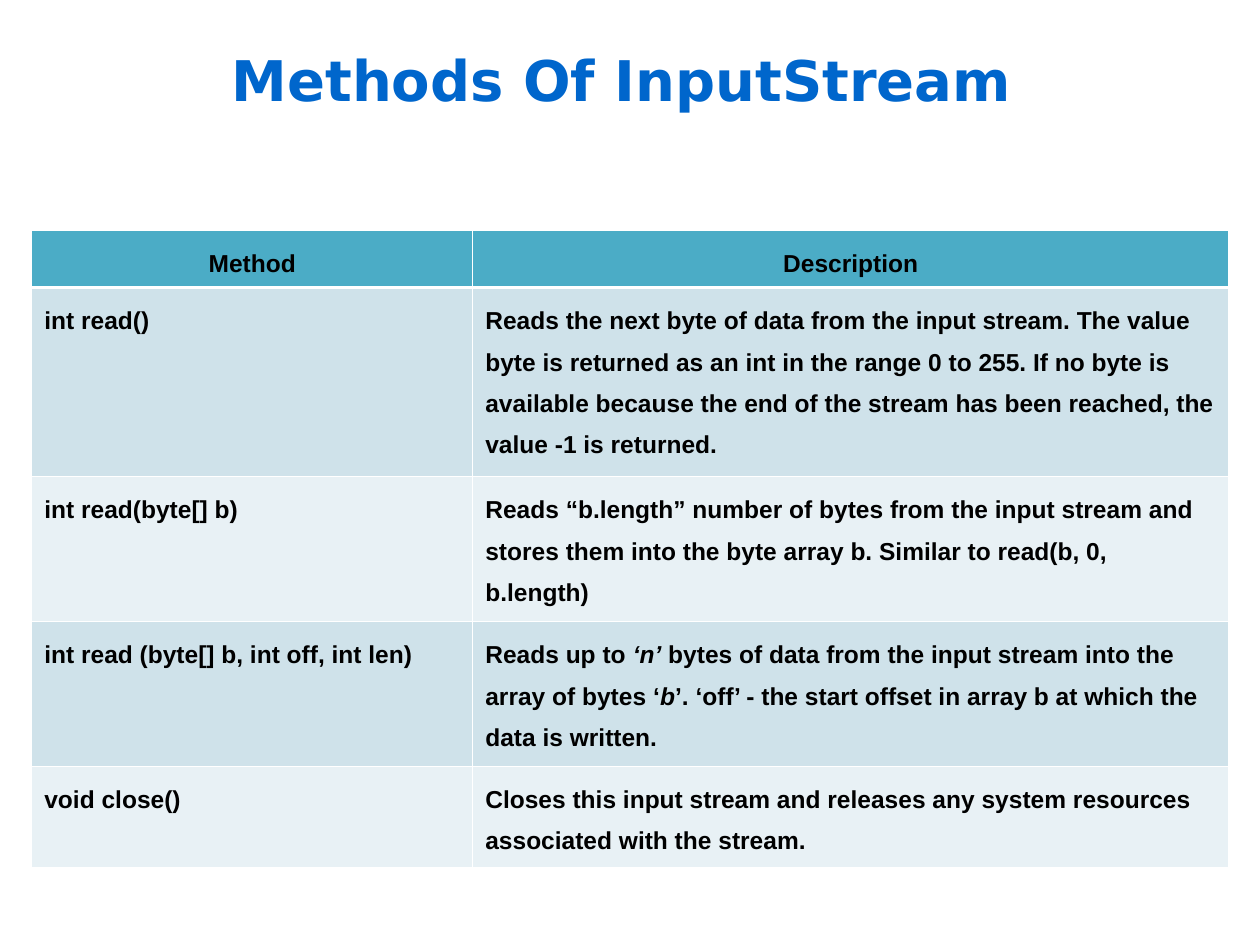
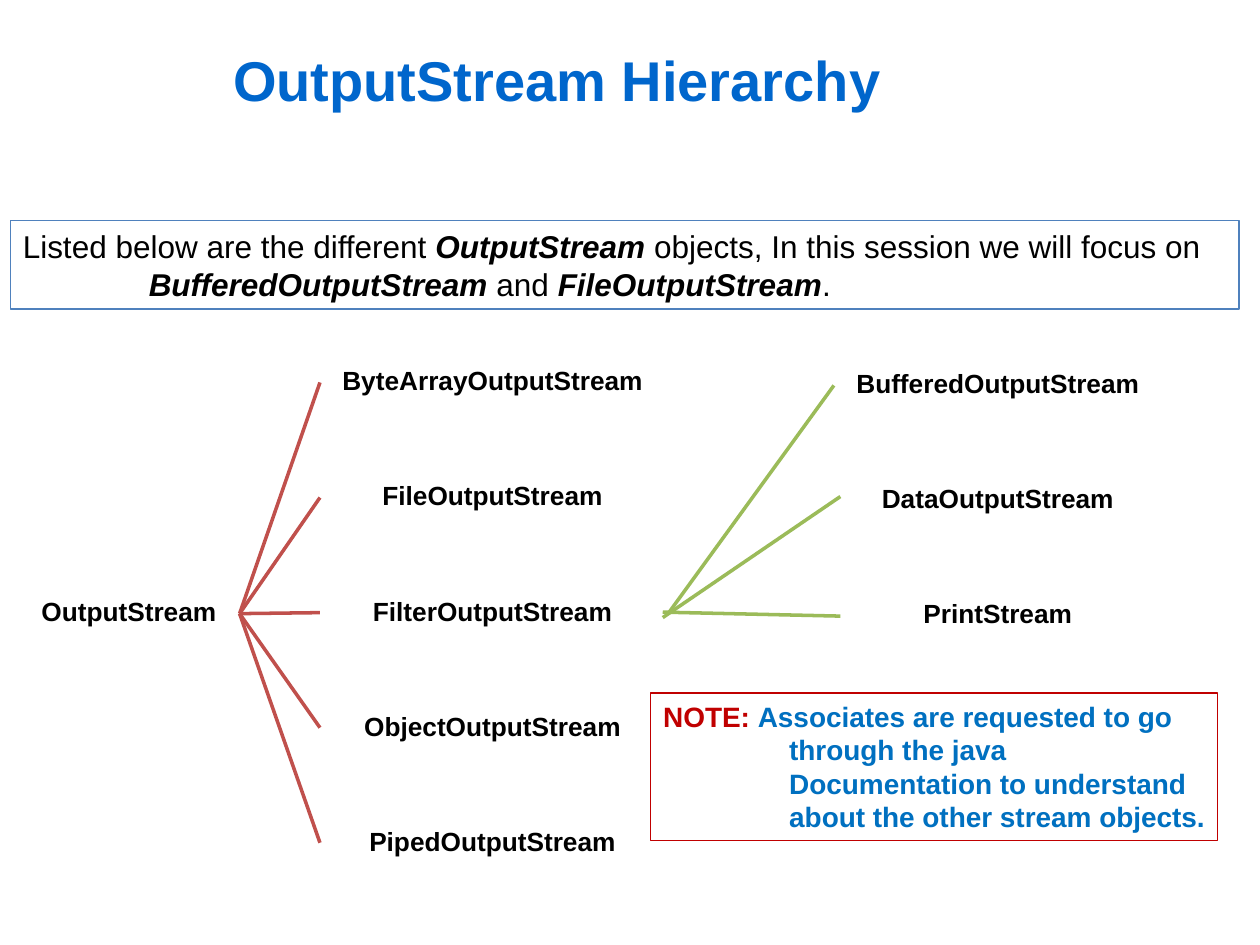
"""Builds two slides on Java byte streams: InputStream methods and the OutputStream hierarchy."""
from dataclasses import dataclass

from lxml import etree
from pptx import Presentation
from pptx import util as u
from pptx.dml.color import RGBColor
from pptx.enum import shapes, text
from pptx.oxml import ns


@dataclass(frozen=True)
class Theme:
    title: str = "0066CC"
    ink: str = "000000"
    white: str = "FFFFFF"
    header: str = "4BACC6"
    bands: tuple = ("CFE2EA", "E8F1F5")
    intro_line: str = "4F81BD"
    note_line: str = "C00000"
    note_text: str = "0070C0"
    first_branch: str = "C0504C"
    second_branch: str = "9BBB59"
    font: str = "Arial"
    title_font: str = "DejaVu Sans"
    title_size: int = 32
    intro_size: int = 18
    note_size: int = 16
    node_size: int = 15
    table_size: int = 14


class SlideBuilder:
    def __init__(self, deck, theme):
        self.deck, self.theme, self.page = deck, theme, None

    def new_page(self):
        self.page = self.deck.slides.add_slide(self.deck.slide_layouts[6])

    def fill_text(self, frame, spans, size, color=None, bold=False, font=None,
                  align=text.PP_ALIGN.LEFT, spacing=None, margin=0, indent=0):
        frame.word_wrap = True
        para = frame.paragraphs[0]
        para.alignment = align
        if spacing:
            para.line_spacing = spacing
        if margin:
            properties = para._p.get_or_add_pPr()
            properties.set("marL", str(u.Cm(margin)))
            properties.set("indent", str(u.Cm(indent)))
        para.font.name = font or self.theme.font
        para.font.size = u.Pt(size)
        para.font.bold = bold
        para.font.color.rgb = RGBColor.from_string(color or self.theme.ink)
        for wording, style in [(spans, {})] if isinstance(spans, str) else spans:
            span = para.add_run()
            span.text = wording
            if "color" in style:
                span.font.color.rgb = RGBColor.from_string(style["color"])
            if "bold" in style:
                span.font.bold = style["bold"]
            if "italic" in style:
                span.font.italic = style["italic"]

    def title(self, wording, left, font, margin=0):
        box = self.page.shapes.add_textbox(u.Cm(left), 0, u.Cm(20.96), u.Cm(3.18))
        box.text_frame.vertical_anchor = text.MSO_ANCHOR.MIDDLE
        self.fill_text(box.text_frame, wording, self.theme.title_size,
                       self.theme.title, True, font, margin=margin)

    def shape(self, kind, left, top, width, height, fill=None, line=None):
        box = self.page.shapes.add_shape(kind, *map(u.Cm, (left, top, width, height)))
        box.shadow.inherit = False
        if fill:
            box.fill.solid()
            box.fill.fore_color.rgb = RGBColor.from_string(fill)
        else:
            box.fill.background()
        if line:
            box.line.color.rgb = RGBColor.from_string(line)
            box.line.width = u.Pt(0.75)
        else:
            box.line.fill.background()
        return box

    def panel(self, spans, left, top, width, height, line, size, fill=None, **style):
        box = self.shape(shapes.MSO_SHAPE.RECTANGLE, left, top, width, height, fill, line)
        box.text_frame.vertical_anchor = text.MSO_ANCHOR.TOP
        self.fill_text(box.text_frame, spans, size, margin=2.54, indent=-2.54, **style)

    def node(self, name, left, top, width):
        box = self.shape(shapes.MSO_SHAPE.ROUNDED_RECTANGLE, left, top, width, 2,
                         self.theme.white)
        box.adjustments[0] = 0.1
        frame = box.text_frame
        frame.margin_left = frame.margin_right = u.Cm(0.08)
        frame.margin_top = frame.margin_bottom = u.Cm(0.03)
        frame.vertical_anchor = text.MSO_ANCHOR.MIDDLE
        self.fill_text(frame, name, self.theme.node_size, bold=True,
                       align=text.PP_ALIGN.CENTER, spacing=0.9)

    def branch(self, start, end, color):
        link = self.page.shapes.add_connector(
            shapes.MSO_CONNECTOR.STRAIGHT, *map(u.Cm, (*start, *end)))
        link.line.color.rgb = RGBColor.from_string(color)
        link.line.width = u.Pt(2)
        etree.SubElement(link._element.spPr, ns.qn("a:effectLst"))

    def cell_borders(self, cell, widths):
        properties = cell._tc.get_or_add_tcPr()
        for position, (side, width) in enumerate(widths.items()):
            border = etree.Element(ns.qn(f"a:ln{side}"), w=str(u.Pt(width)))
            fill = etree.SubElement(border, ns.qn("a:solidFill"))
            etree.SubElement(fill, ns.qn("a:srgbClr"), val=self.theme.white)
            properties.insert(position, border)

    def table(self, rows, left, top, widths, heights):
        frame = self.page.shapes.add_table(
            len(rows), len(widths),
            *map(u.Cm, (left, top, sum(widths), sum(heights))))
        grid = frame.table
        for column, width in zip(grid.columns, widths):
            column.width = u.Cm(width)
        for index, (row, height) in enumerate(zip(rows, heights)):
            grid.rows[index].height = u.Cm(height)
            color = self.theme.bands[(index - 1) % 2] if index else self.theme.header
            align = text.PP_ALIGN.LEFT if index else text.PP_ALIGN.CENTER
            for cell, spans in zip(grid.rows[index].cells, row):
                cell.fill.solid()
                cell.fill.fore_color.rgb = RGBColor.from_string(color)
                self.cell_borders(cell, {"L": 0.45, "R": 0.45,
                                         "T": 1.47 if index == 1 else 0.45,
                                         "B": 1.47 if index == 0 else 0.45})
                self.fill_text(cell.text_frame, spans, self.theme.table_size,
                               bold=True, align=align, spacing=1.5)


def input_methods(builder):
    italic = {"italic": True}
    builder.new_page()
    builder.title("Methods Of InputStream", 4.24, builder.theme.title_font, margin=0.18)
    builder.table([
        ("Method", "Description"),
        ("int read()",
         "Reads the next byte of data from the input stream. The value byte is returned "
         "as an int in the range 0 to 255. If no byte is available because the end of "
         "the stream has been reached, the value -1 is returned."),
        ("int read(byte[] b)",
         "Reads “b.length” number of bytes from the input stream and stores them into "
         "the byte array b. Similar to read(b, 0, b.length)"),
        ("int read (byte[] b, int off, int len)",
         [("Reads up to ", {}), ("‘n’", italic),
          (" bytes of data from the input stream into the array of bytes ‘", {}),
          ("b", italic),
          ("’. ‘off’ - the start offset in array b at which the data is written.", {})]),
        ("void close()",
         "Closes this input stream and releases any system resources associated with "
         "the stream."),
    ], 0.64, 4.65, (8.89, 15.24), (1.14, 3.81, 2.92, 2.92, 2.03))


def output_hierarchy(builder):
    theme = builder.theme
    strong = {"bold": True, "italic": True}
    pitch = 2.32
    builder.new_page()
    builder.title("OutputStream Hierarchy", 4.45, theme.font)

    builder.node("OutputStream", 0.43, 11.35, 4.34)
    streams = ("ByteArrayOutputStream", "FileOutputStream", "FilterOutputStream",
               "ObjectOutputStream", "PipedOutputStream")
    for index, name in enumerate(streams):
        top = 6.71 + index * pitch
        builder.node(name, 6.5, top, 6.86)
        builder.branch((4.83, 12.37), (6.45, top + 1), theme.first_branch)

    filters = (("BufferedOutputStream", (13.49, 12.34), (16.81, 7.77)),
               ("DataOutputStream", (13.36, 12.45), (16.94, 10.01)),
               ("PrintStream", (13.36, 12.34), (16.94, 12.42)))
    for index, (name, start, end) in enumerate(filters):
        builder.node(name, 16.94, 6.76 + index * pitch, 6.35)
        builder.branch(start, end, theme.second_branch)

    builder.panel([
        ("Listed below are the different ", {}), ("OutputStream", strong),
        (" objects, In this session we will focus on ", {}),
        ("BufferedOutputStream", strong), (" and ", {}),
        ("FileOutputStream", strong), (".", {}),
    ], 0.21, 4.45, 24.77, 1.78, theme.intro_line, theme.intro_size, fill=theme.white)
    builder.panel([
        ("NOTE: ", {"color": theme.note_line}),
        ("Associates are requested to go through the java Documentation to understand "
         "about the other stream objects.", {}),
    ], 13.12, 13.97, 11.43, 2.97, theme.note_line, theme.note_size,
        color=theme.note_text, bold=True)


def main():
    deck = Presentation()
    deck.slide_width, deck.slide_height = u.Cm(25.4), u.Cm(19.05)
    builder = SlideBuilder(deck, Theme())
    input_methods(builder)
    output_hierarchy(builder)
    deck.save("out.pptx")


if __name__ == "__main__":
    main()
